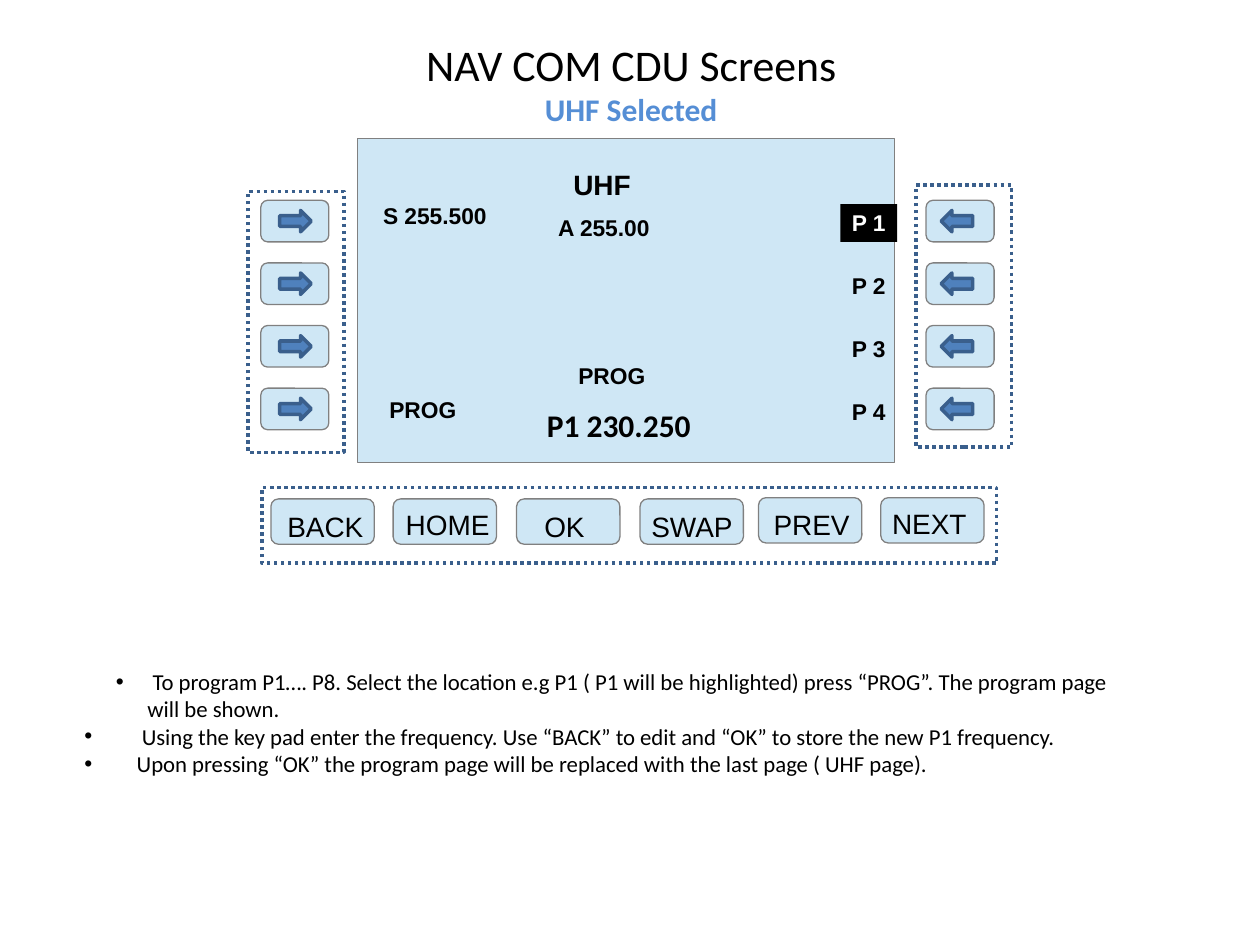
from typing import NamedTuple

from lxml.etree import SubElement
from pptx import Presentation
from pptx.dml.color import RGBColor
from pptx.enum.dml import MSO_LINE_DASH_STYLE as Dash
from pptx.enum.shapes import MSO_SHAPE as Shape
from pptx.enum.text import MSO_ANCHOR as Anchor, MSO_AUTO_SIZE as Fit, PP_ALIGN as Align
from pptx.oxml.ns import qn
from pptx.util import Inches, Pt

BLACK = RGBColor(0x00, 0x00, 0x00)
WHITE = RGBColor(0xFF, 0xFF, 0xFF)
PALE_BLUE = RGBColor(0xCF, 0xE7, 0xF5)
GREY = RGBColor(0x80, 0x80, 0x80)
BLUE = RGBColor(0x4F, 0x81, 0xBD)
DARK_BLUE = RGBColor(0x3A, 0x5F, 0x8C)
TITLE_BLUE = RGBColor(0x55, 0x8E, 0xD5)

COLUMNS, ROWS = 100, 75
SLIDE_WIDTH, SLIDE_HEIGHT = Inches(10), Inches(7.5)
COLUMN, ROW = SLIDE_WIDTH / COLUMNS, SLIDE_HEIGHT / ROWS

LABEL_FRAME = {"word_wrap": False, "auto_size": Fit.SHAPE_TO_FIT_TEXT,
               "margin_left": Inches(0.09), "margin_right": Inches(0.09),
               "margin_top": Inches(0.04), "margin_bottom": Inches(0.04)}
KEY_FONT = {"name": "Arial", "size": Pt(16), "bold": False}
HEAD_FONT = {"name": "Arial", "size": Pt(16), "bold": True}
SMALL_FONT = {"name": "Arial", "size": Pt(13), "bold": True}
ENTRY_FONT = {"name": "Calibri", "size": Pt(18), "bold": True}
TITLE_FONT = {"name": "Calibri", "size": Pt(25), "bold": False}
NOTE_FONT = {"name": "Calibri", "size": Pt(13), "bold": False}


class Box(NamedTuple):
    """An area in grid columns and rows."""
    left: float
    top: float
    width: float
    height: float

    def inner(self, across, down, width, height):
        """Return an area offset from this one's corner."""
        return Box(self.left + across, self.top + down, width, height)

    def lengths(self):
        """Return the area in slide lengths."""
        return (round(self.left * COLUMN), round(self.top * ROW),
                round(self.width * COLUMN), round(self.height * ROW))


def apply(target, values):
    """Set each format value on the target."""
    for name, value in values.items():
        setattr(target, name, value)


def add_span(para, text, font, colour=BLACK):
    """Add formatted text to a paragraph."""
    span = para.add_run()
    span.text = text
    apply(span.font, font)
    span.font.color.rgb = colour


def add_label(page, box, text, font, colour=BLACK, back=None):
    """Place a one-line label, with an optional background."""
    label = page.shapes.add_textbox(*box.lengths())
    apply(label.text_frame, LABEL_FRAME)
    add_span(label.text_frame.paragraphs[0], text, font, colour)
    if back is not None:
        label.fill.solid()
        label.fill.fore_color.rgb = back


def add_figure(page, kind, box, fill, line, weight, dash=None):
    """Place a preset shape with its fill and outline."""
    figure = page.shapes.add_shape(kind, *box.lengths())
    figure.shadow.inherit = False
    if fill is None:
        figure.fill.background()
    else:
        figure.fill.solid()
        figure.fill.fore_color.rgb = fill
    figure.line.color.rgb = line
    apply(figure.line, {"width": Pt(weight), "dash_style": dash})


def add_key(page, box):
    """Place one pale rounded key."""
    add_figure(page, Shape.ROUNDED_RECTANGLE, box, PALE_BLUE, GREY, 0)


def add_dotted_frame(page, box):
    """Place the dotted outline around a group of keys."""
    add_figure(page, Shape.RECTANGLE, box, None, DARK_BLUE, 2, Dash.ROUND_DOT)


def add_heading(page, box):
    """Place the title and its subtitle."""
    frame = page.shapes.add_textbox(*box.lengths()).text_frame
    apply(frame, {"word_wrap": True, "vertical_anchor": Anchor.TOP, "margin_top": Inches(0.05)})
    first = frame.paragraphs[0]
    add_span(first, "NAV COM CDU Screens", TITLE_FONT)
    second = frame.add_paragraph()
    add_span(second, "UHF Selected", ENTRY_FONT, TITLE_BLUE)
    for para in (first, second):
        para.alignment = Align.CENTER


def add_screen(page, box):
    """Place the display with its readouts and preset list."""
    add_figure(page, Shape.RECTANGLE, box, PALE_BLUE, GREY, 0)
    readouts = [
        ("UHF", 16.2, 1.9, 6.4, 3.5, HEAD_FONT),
        ("A 255.00", 15, 5.6, 9.6, 3, SMALL_FONT),
        ("S 255.500", 1.1, 4.6, 10.1, 3, SMALL_FONT),
        ("PROG", 16.6, 17.3, 7.2, 3, SMALL_FONT),
        ("P1 230.250", 14.1, 20.8, 13.6, 4, ENTRY_FONT),
        ("PROG", 1.6, 20, 7.2, 3, SMALL_FONT),
    ]
    for text, across, down, width, height, font in readouts:
        add_label(page, box.inner(across, down, width, height), text, font)
    for index in range(4):
        colour, back = (WHITE, BLACK) if index == 0 else (BLACK, None)
        place = box.inner(38.3, 5.2 + 5 * index, 4.5, 3)
        add_label(page, place, f"P {index + 1}", SMALL_FONT, colour, back)


def add_side_keys(page, box, arrow, key_across, key_down, arrow_across):
    """Place a column of four arrow keys in a dotted frame."""
    add_dotted_frame(page, box)
    for index in range(4):
        key = box.inner(key_across, key_down + 4.97 * index, 5.4, 3.3)
        add_key(page, key)
        add_figure(page, arrow, key.inner(arrow_across, 0.8, 2.5, 1.7), BLUE, DARK_BLUE, 2)


def add_bottom_keys(page, box):
    """Place the row of named keys in a dotted frame."""
    add_dotted_frame(page, box)
    keys = [
        ("BACK", 0.7, 0.9, 0.4, 0.4, 7.9),
        ("HOME", 10.4, 0.9, 0.1, 0.3, 8.5),
        ("OK", 20.2, 0.9, 1.3, 0.4, 5.2),
        ("SWAP", 30, 0.9, 0, 0.4, 8.3),
        ("PREV", 39.4, 0.8, 0.3, 0.4, 7.9),
        ("NEXT", 49.1, 0.8, 0, 0.3, 7.8),
    ]
    for text, across, down, label_across, label_down, label_width in keys:
        key = box.inner(across, down, 8.2, 3.6)
        add_key(page, key)
        add_label(page, key.inner(label_across, label_down, label_width, 3.5), text, KEY_FONT)


def add_notes(page, box):
    """Place the bulleted instructions."""
    frame = page.shapes.add_textbox(*box.lengths()).text_frame
    apply(frame, {"word_wrap": True, "margin_left": Inches(0.09), "margin_right": Inches(0.09)})
    notes = [
        (" To program P1…. P8. Select the location e.g P1 ( P1 will be highlighted) "
         "press “PROG”. The program page will be shown.", 5, 2.5),
        ("Using the key pad enter the frequency. Use “BACK” to edit and “OK” to store "
         "the new P1 frequency.", 4.55, 4.55),
        ("Upon pressing “OK” the program page will be replaced with the last page "
         "( UHF page).", 4.15, 4.15),
    ]
    for index, (text, margin, hang) in enumerate(notes):
        para = frame.add_paragraph() if index else frame.paragraphs[0]
        add_span(para, text, NOTE_FONT)
        layout = para._p.get_or_add_pPr()
        layout.set("marL", str(round(margin * COLUMN)))
        layout.set("indent", str(round(-hang * COLUMN)))
        SubElement(layout, qn("a:buFont"), typeface="Arial")
        SubElement(layout, qn("a:buChar"), char="•")


def main():
    """Build and save the deck."""
    deck = Presentation()
    apply(deck, {"slide_width": SLIDE_WIDTH, "slide_height": SLIDE_HEIGHT})
    page = deck.slides.add_slide(deck.slide_layouts[6])
    add_heading(page, Box(5.1, 2.5, 90, 12.5))
    add_screen(page, Box(28.4, 11, 42.6, 25.7))
    add_side_keys(page, Box(19.7, 15.2, 7.6, 20.7), Shape.RIGHT_ARROW, 1, 0.7, 1.5)
    add_side_keys(page, Box(72.7, 14.7, 7.6, 20.8), Shape.LEFT_ARROW, 0.8, 1.2, 1.2)
    add_bottom_keys(page, Box(20.8, 38.7, 58.3, 6))
    add_notes(page, Box(5.8, 52.5, 83.5, 9.7))
    deck.save("out.pptx")


if __name__ == "__main__":
    main()
